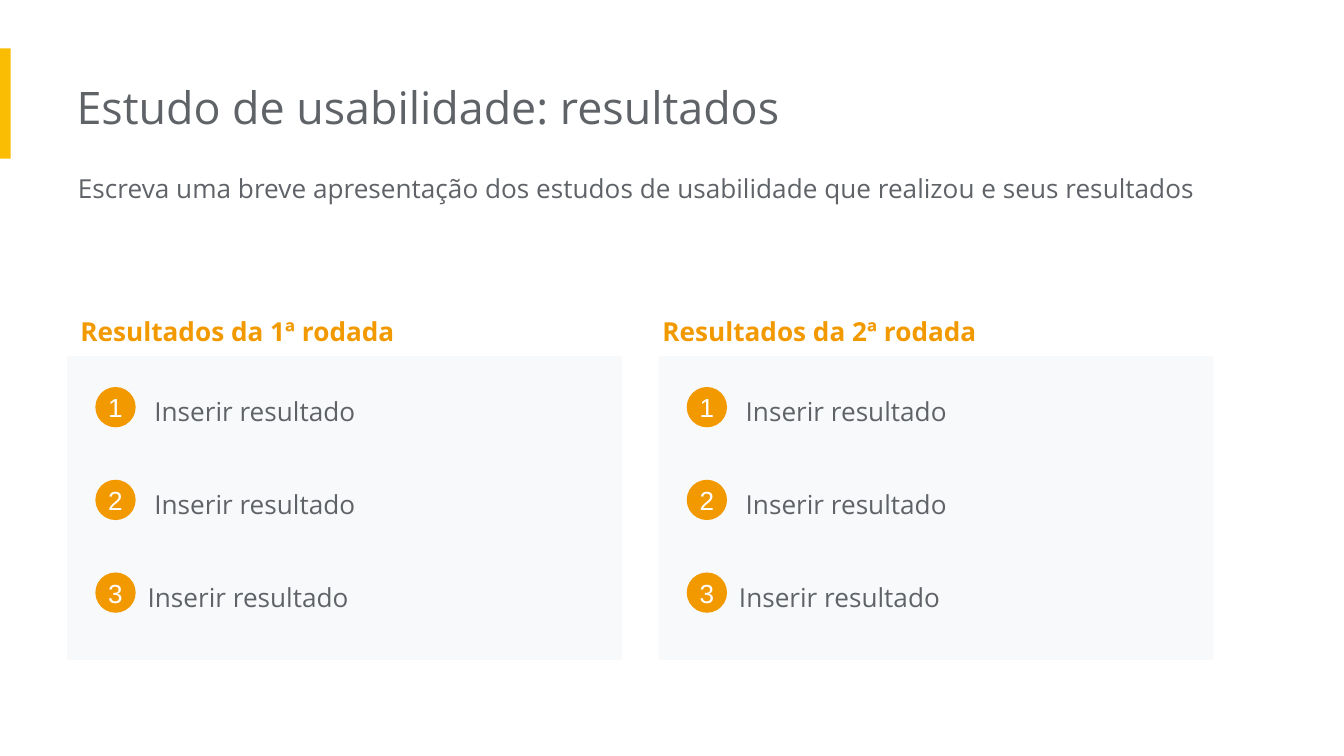
"""Build the usability study results slide with two rounds of findings."""
from pptx import Presentation
from pptx.dml.color import RGBColor
from pptx.enum.shapes import MSO_SHAPE
from pptx.enum.text import MSO_ANCHOR, PP_ALIGN
from pptx.util import Inches, Pt

RECTANGLE, OVAL = MSO_SHAPE.RECTANGLE, MSO_SHAPE.OVAL
LEFT, CENTER = PP_ALIGN.LEFT, PP_ALIGN.CENTER
TOP, MIDDLE = MSO_ANCHOR.TOP, MSO_ANCHOR.MIDDLE

YELLOW = RGBColor(0xFB, 0xBC, 0x04)
ORANGE = RGBColor(0xF2, 0x99, 0x00)
GRAY = RGBColor(0x5F, 0x63, 0x68)
PALE = RGBColor(0xF8, 0xF9, 0xFA)
WHITE = RGBColor(0xFF, 0xFF, 0xFF)

TITLE = "Estudo de usabilidade: resultados"
INTRO = "Escreva uma breve apresentação dos estudos de usabilidade que realizou e seus resultados"
ROUNDS = [
    {"heading": "Resultados da 1ª rodada", "heading_left": 0.5,
     "results": ["Inserir resultado"] * 3},
    {"heading": "Resultados da 2ª rodada", "heading_left": 4.83,
     "results": ["Inserir resultado"] * 3},
]

SLIDE_WIDTH = Inches(10)
SLIDE_HEIGHT = SLIDE_WIDTH * 9 // 16
PANEL_LEFT, PANEL_TOP, PANEL_STEP = 0.5, 2.65, 4.4
PANEL_WIDTH, PANEL_HEIGHT = 4.13, 2.26
ROW_TOP, ROW_STEP = 2.81, 0.69
LABEL_SIZE = (3.65, 0.47)
LABEL_INDENTS = (0.55, 0.55, 0.5)
BADGE_INDENT, BADGE_DROP, BADGE_SIZE = 0.21, 0.07, 0.3


def write(shape, text, size=14, font="Open Sans", color=GRAY, bold=False,
          align=LEFT, anchor=TOP, spacing=1.15, insets=(0.1, 0.1, 0.1, 0.1)):
    frame = shape.text_frame
    frame.word_wrap = True
    frame.vertical_anchor = anchor
    (frame.margin_left, frame.margin_top,
     frame.margin_right, frame.margin_bottom) = map(Inches, insets)
    paragraph = frame.paragraphs[0]
    paragraph.alignment = align
    paragraph.line_spacing = spacing
    run = paragraph.add_run()
    run.text = text
    run.font.size = Pt(size)
    run.font.name = font
    run.font.bold = bold
    run.font.color.rgb = color


def add_label(slide, box, text, **text_format):
    write(slide.shapes.add_textbox(*map(Inches, box)), text, **text_format)


def add_block(slide, kind, box, fill):
    block = slide.shapes.add_shape(kind, *map(Inches, box))
    block.shadow.inherit = False
    block.fill.solid()
    block.fill.fore_color.rgb = fill
    block.line.fill.background()
    return block


def add_round(slide, index, content):
    left = PANEL_LEFT + index * PANEL_STEP
    add_block(slide, RECTANGLE, (left, PANEL_TOP, PANEL_WIDTH, PANEL_HEIGHT), PALE)
    add_label(slide, (content["heading_left"], 2.21, *LABEL_SIZE),
              content["heading"], color=ORANGE, bold=True)
    for row, (result, indent) in enumerate(zip(content["results"], LABEL_INDENTS)):
        top = ROW_TOP + row * ROW_STEP
        add_label(slide, (left + indent, top, *LABEL_SIZE), result)
        badge = add_block(slide, OVAL, (left + BADGE_INDENT, top + BADGE_DROP,
                                        BADGE_SIZE, BADGE_SIZE), ORANGE)
        write(badge, str(row + 1), font="Arial", color=WHITE, align=CENTER,
              anchor=MIDDLE, spacing=1.0, insets=(0, 0, 0, 0))


def main():
    deck = Presentation()
    deck.slide_width, deck.slide_height = SLIDE_WIDTH, SLIDE_HEIGHT
    slide = deck.slides.add_slide(deck.slide_layouts[6])
    add_block(slide, RECTANGLE, (0, 0.36, 0.08, 0.82), YELLOW)
    flush_left = (0, 0.1, 0.1, 0.1)
    add_label(slide, (0.57, 0.49, 6.73, 0.6), TITLE, size=24, spacing=1.0,
              insets=flush_left)
    add_label(slide, (0.58, 1.15, 8.61, 0.74), INTRO, insets=flush_left)
    for index, content in enumerate(ROUNDS):
        add_round(slide, index, content)
    deck.save("out.pptx")


if __name__ == "__main__":
    main()
